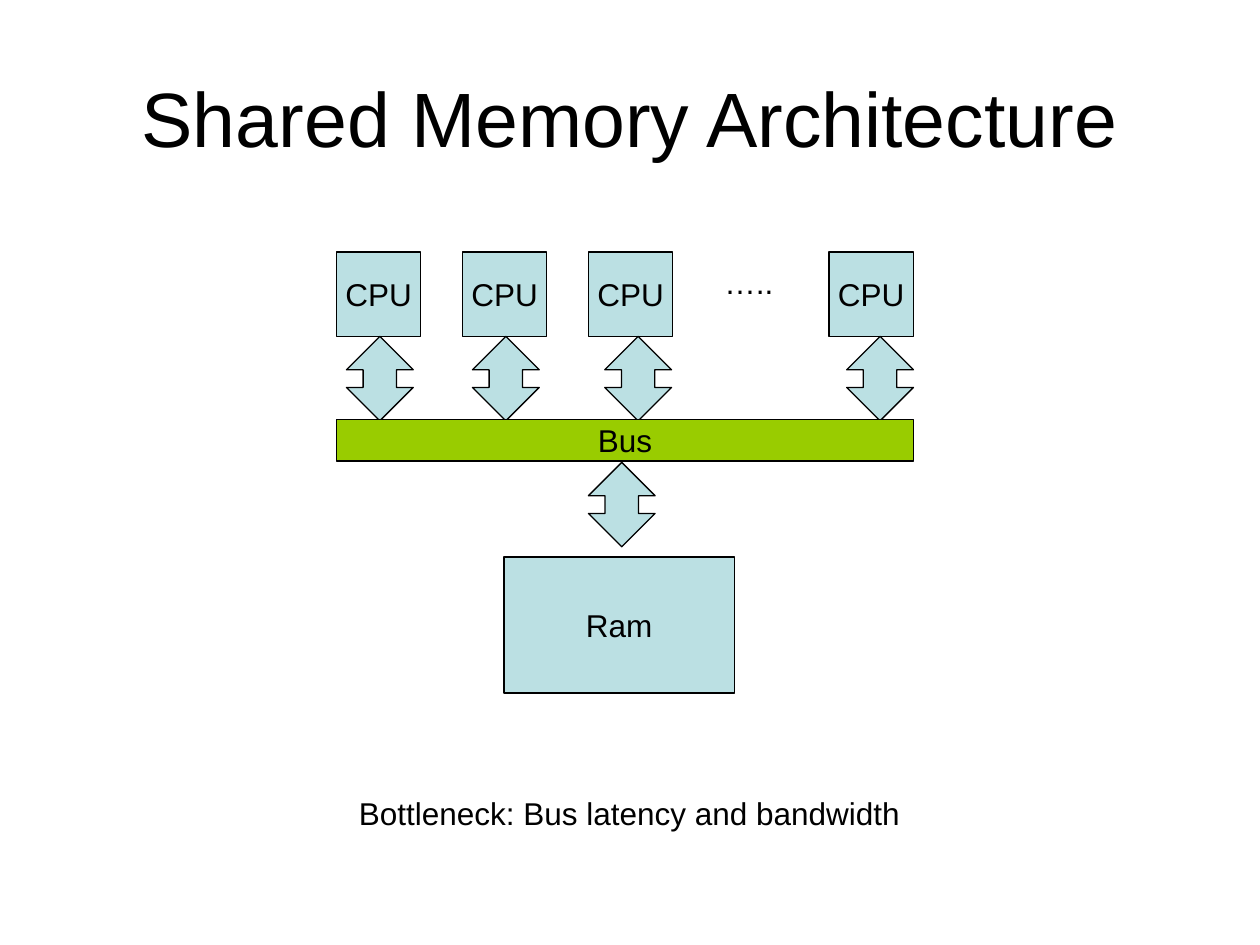
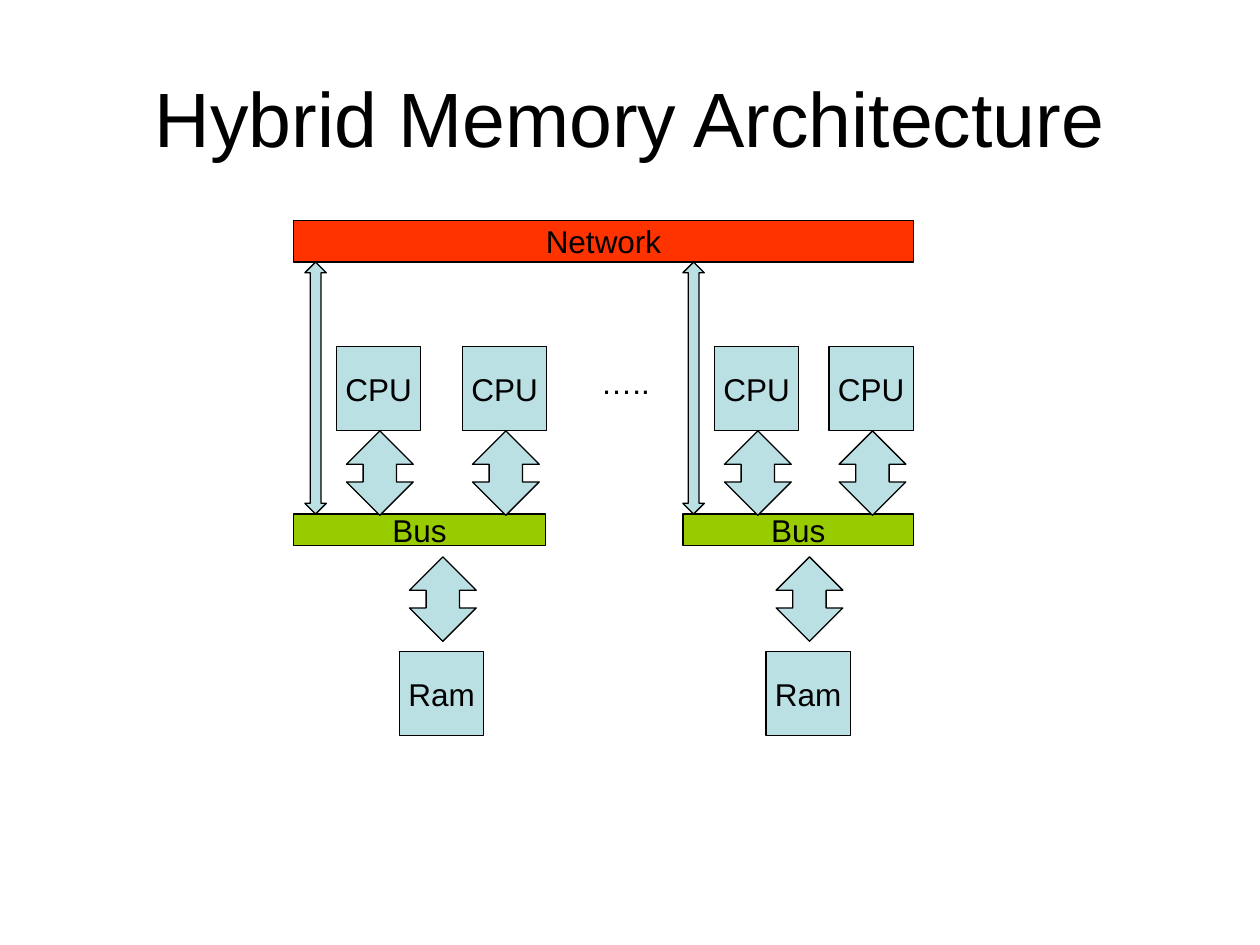
from pptx import Presentation
from pptx.dml.color import RGBColor
from pptx.enum.shapes import MSO_SHAPE as Shape
from pptx.enum.text import MSO_ANCHOR as Anchor, MSO_AUTO_SIZE as Fit, PP_ALIGN as Align
from pptx.util import Inches, Pt

# Shared look
BLACK = RGBColor(0x00, 0x00, 0x00)
BLUE = RGBColor(0xBB, 0xE0, 0xE3)
GREEN = RGBColor(0x99, 0xCC, 0x00)
RED = RGBColor(0xFF, 0x33, 0x00)
FONT = "Arial"
SIDE = 0.67  # edge of a square unit, also the height of an arrow
WIDE = 0.53  # width of an arrow


def put_text(frame, text, size=18, align=Align.CENTER, anchor=Anchor.MIDDLE, wrap=False):
    frame.word_wrap = wrap
    frame.vertical_anchor = anchor
    para = frame.paragraphs[0]
    para.alignment = align
    run = para.add_run()
    run.text = text
    run.font.name = FONT
    run.font.size = Pt(size)
    run.font.color.rgb = BLACK


def add_form(slide, kind, x, y, w, h, fill=BLUE):
    form = slide.shapes.add_shape(kind, Inches(x), Inches(y), Inches(w), Inches(h))
    form.shadow.inherit = False
    form.fill.solid()
    form.fill.fore_color.rgb = fill
    form.line.color.rgb = BLACK
    form.line.width = Pt(0.75)
    return form


def add_box(slide, text, x, y, w=SIDE, h=SIDE, fill=BLUE):
    put_text(add_form(slide, Shape.RECTANGLE, x, y, w, h, fill).text_frame, text)


def add_arrow(slide, x, y, w=WIDE, h=SIDE, head=0.25):
    arrow = add_form(slide, Shape.UP_DOWN_ARROW, x, y, w, h)
    # For this shape the head length comes first, then the shaft width
    arrow.adjustments[0] = head
    arrow.adjustments[1] = 0.5


def add_label(slide, text, x, y, w, h=0.4):
    box = slide.shapes.add_textbox(Inches(x), Inches(y), Inches(w), Inches(h))
    put_text(box.text_frame, text, align=Align.LEFT, anchor=Anchor.TOP, wrap=True)
    box.text_frame.auto_size = Fit.SHAPE_TO_FIT_TEXT


def add_slide(deck, title):
    slide = deck.slides.add_slide(deck.slide_layouts[6])
    box = slide.shapes.add_textbox(Inches(0.5), Inches(0.3), Inches(9), Inches(1.25))
    put_text(box.text_frame, title, size=44, wrap=True)
    return slide


def add_cpus(slide, y, pairs):
    """Draw each CPU with the arrow below it, from pairs of left edges."""
    for left, tip in pairs:
        add_box(slide, "CPU", left, y)
        add_arrow(slide, tip, y + SIDE)


def draw_shared(deck):
    slide = add_slide(deck, "Shared Memory Architecture")
    add_box(slide, "Ram", 4, 4.42, 1.83, 1.08)
    add_cpus(slide, 2, [(2.67, 2.75), (3.67, 3.75), (4.67, 4.8), (6.58, 6.72)])
    add_label(slide, "…..", 5.65, 2.04, 0.65)
    add_box(slide, "Bus", 2.67, 3.33, 4.58, 0.33, GREEN)
    add_arrow(slide, 4.67, 3.67)
    add_label(slide, "Bottleneck: Bus latency and bandwidth", 2.75, 6.25, 4.55)


def add_node(slide, left, width, cpus, ram):
    """Draw one node: bus, CPUs and RAM with their arrows."""
    add_box(slide, "Bus", left, 4.08, width, 0.25, GREEN)
    add_cpus(slide, 2.75, [(x, x + 0.08) for x in cpus])
    add_arrow(slide, ram + 0.08, 4.42)
    add_box(slide, "Ram", ram, 5.17)


def draw_hybrid(deck):
    slide = add_slide(deck, "Hybrid Memory Architecture")
    add_node(slide, 2.33, 2, (2.67, 3.67), 3.17)
    add_node(slide, 5.42, 1.83, (5.67, 6.58), 6.08)
    add_label(slide, "…..", 4.67, 2.83, 0.65)
    # Network and its links down to the buses
    add_box(slide, "Network", 2.33, 1.75, 4.92, 0.33, RED)
    for x in (2.42, 5.42):
        add_arrow(slide, x, 2.08, 0.17, 2, head=2.39)


def main():
    deck = Presentation()
    deck.slide_width, deck.slide_height = Inches(10), Inches(7.5)
    draw_shared(deck)
    draw_hybrid(deck)
    deck.save("out.pptx")


if __name__ == "__main__":
    main()
